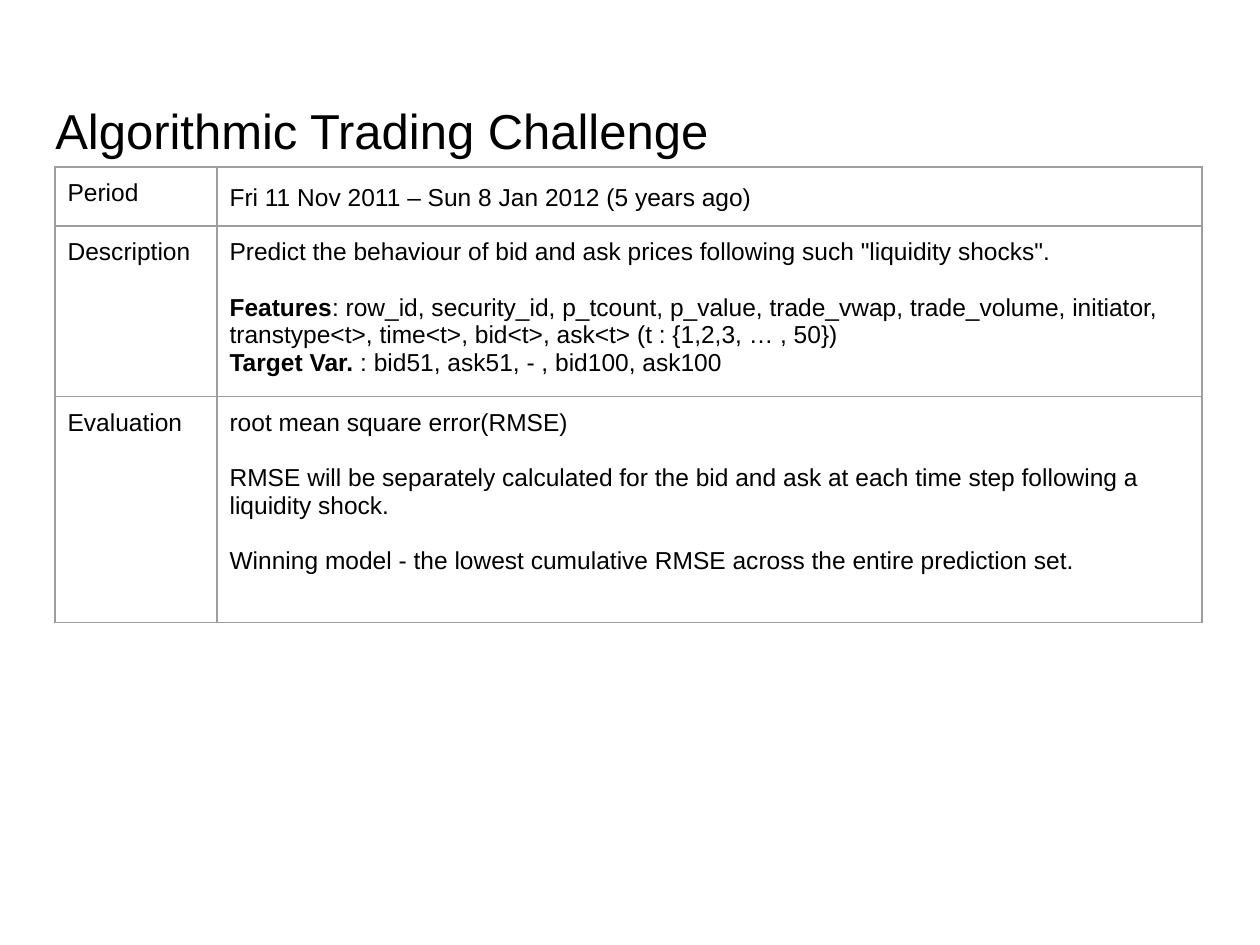
import pptx
import pptx.util
import pptx.dml.color
import pptx.enum.text
import pptx.oxml
import pptx.oxml.ns
import lxml.etree

COLORS = {"text": "000000", "border": "9E9E9E"}
FONT = "Arial"
INSET = 12.6
COLS = [162, 985]
ROWS = [
    (56, "Period", [dict(runs=[("Fri 11 Nov 2011 – Sun 8 Jan 2012 (5 years ago)", False)],
                         line=1.15)]),
    (163, "Description", [
        dict(runs=[('Predict the behaviour of bid and ask prices following such "liquidity shocks".', False)]),
        dict(runs=[("Features", True),
                   (": row_id, security_id, p_tcount, p_value, trade_vwap, trade_volume, initiator, "
                    "transtype<t>, time<t>, bid<t>, ask<t> (t : {1,2,3, … , 50})", False)],
             before=15.75),
        dict(runs=[("Target Var.", True), (" : bid51, ask51, - , bid100, ask100", False)]),
    ]),
    (226, "Evaluation", [
        dict(runs=[("root mean square error(RMSE)", False)]),
        dict(runs=[("RMSE will be separately calculated for the bid and ask at each time step "
                    "following a liquidity shock.", False)], before=15.75),
        dict(runs=[("Winning model - the lowest cumulative RMSE across the entire prediction set.", False)],
             before=15.75),
    ]),
]


def px(n):
    return pptx.util.Emu(round(n * 914400 / 126))


def add_run(p, text, size=14, bold=False):
    r = p.add_run()
    r.text = text
    r.font.name = FONT
    r.font.size = pptx.util.Pt(size)
    r.font.bold = bold
    r.font.color.rgb = pptx.dml.color.RGBColor.from_string(COLORS["text"])


def set_margins(box, top=INSET):
    box.margin_left = box.margin_right = box.margin_bottom = px(INSET)
    box.margin_top = px(top)


def add_title(slide, text):
    sp = slide.shapes.add_textbox(px(43), px(82), px(1174), px(104))
    tf = sp.text_frame
    tf.word_wrap = True
    tf.vertical_anchor = pptx.enum.text.MSO_ANCHOR.TOP
    set_margins(tf, top=18)
    add_run(tf.paragraphs[0], text, size=28)


def set_borders(cell):
    tc_pr = cell._tc.get_or_add_tcPr()
    qn = pptx.oxml.ns.qn
    for i, side in enumerate(("lnL", "lnR", "lnT", "lnB")):
        ln = lxml.etree.Element(qn("a:" + side), w=str(pptx.util.Pt(0.75)))
        fill = lxml.etree.SubElement(ln, qn("a:solidFill"))
        lxml.etree.SubElement(fill, qn("a:srgbClr"), val=COLORS["border"])
        tc_pr.insert(i, ln)


def fill_cell(cell, paragraphs):
    set_margins(cell)
    cell.fill.background()
    set_borders(cell)
    tf = cell.text_frame
    for i, item in enumerate(paragraphs):
        p = tf.add_paragraph() if i else tf.paragraphs[0]
        if "line" in item:
            p.line_spacing = item["line"]
        if "before" in item:
            p.space_before = pptx.util.Pt(item["before"])
        for text, bold in item["runs"]:
            add_run(p, text, bold=bold)


def add_details(slide):
    height = sum(row[0] for row in ROWS)
    sp = slide.shapes.add_table(len(ROWS), len(COLS), px(55), px(167), px(sum(COLS)), px(height))
    table = sp.table
    table.first_row = table.horz_banding = False
    for column, width in zip(table.columns, COLS):
        column.width = px(width)
    for i, (row_height, label, paragraphs) in enumerate(ROWS):
        table.rows[i].height = px(row_height)
        fill_cell(table.cell(i, 0), [dict(runs=[(label, False)])])
        fill_cell(table.cell(i, 1), paragraphs)


def main():
    prs = pptx.Presentation()
    prs.slide_width, prs.slide_height = px(1260), px(945)
    slide = prs.slides.add_slide(prs.slide_layouts[6])
    add_title(slide, "Algorithmic Trading Challenge")
    add_details(slide)
    prs.save("out.pptx")


main()
